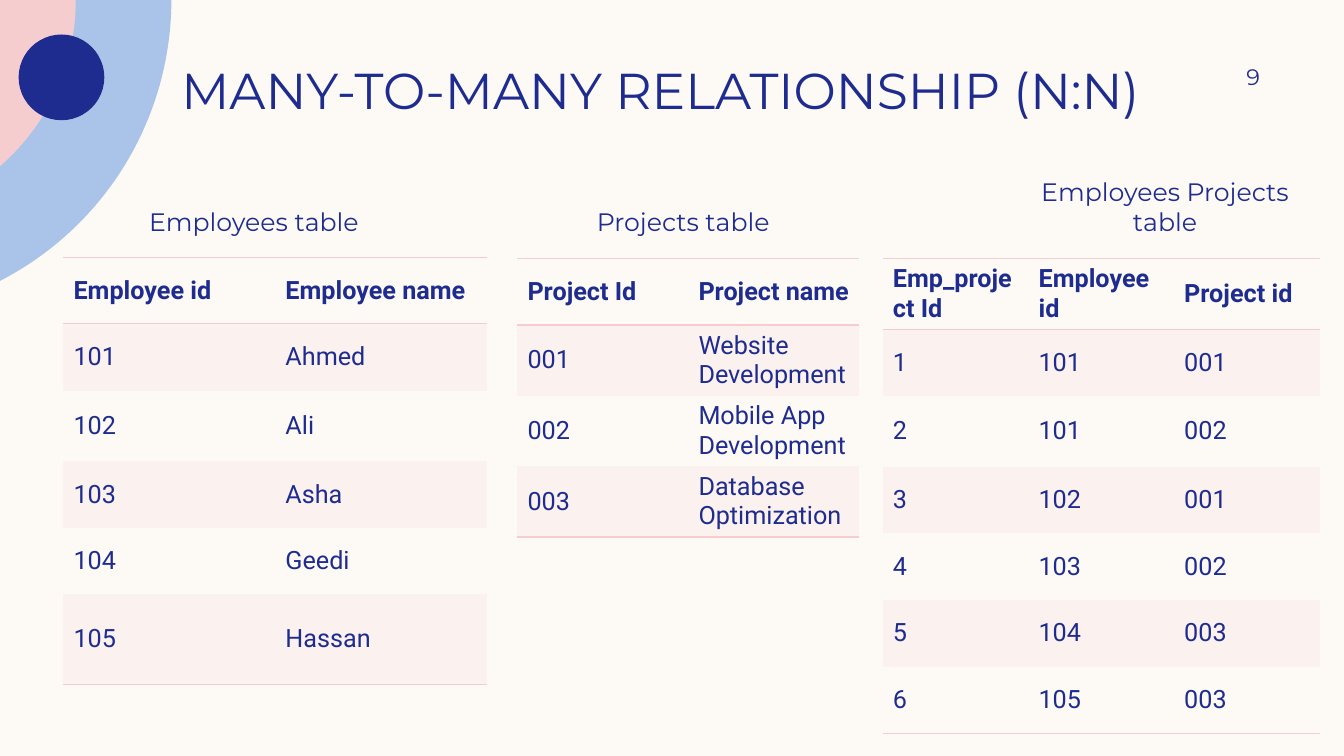
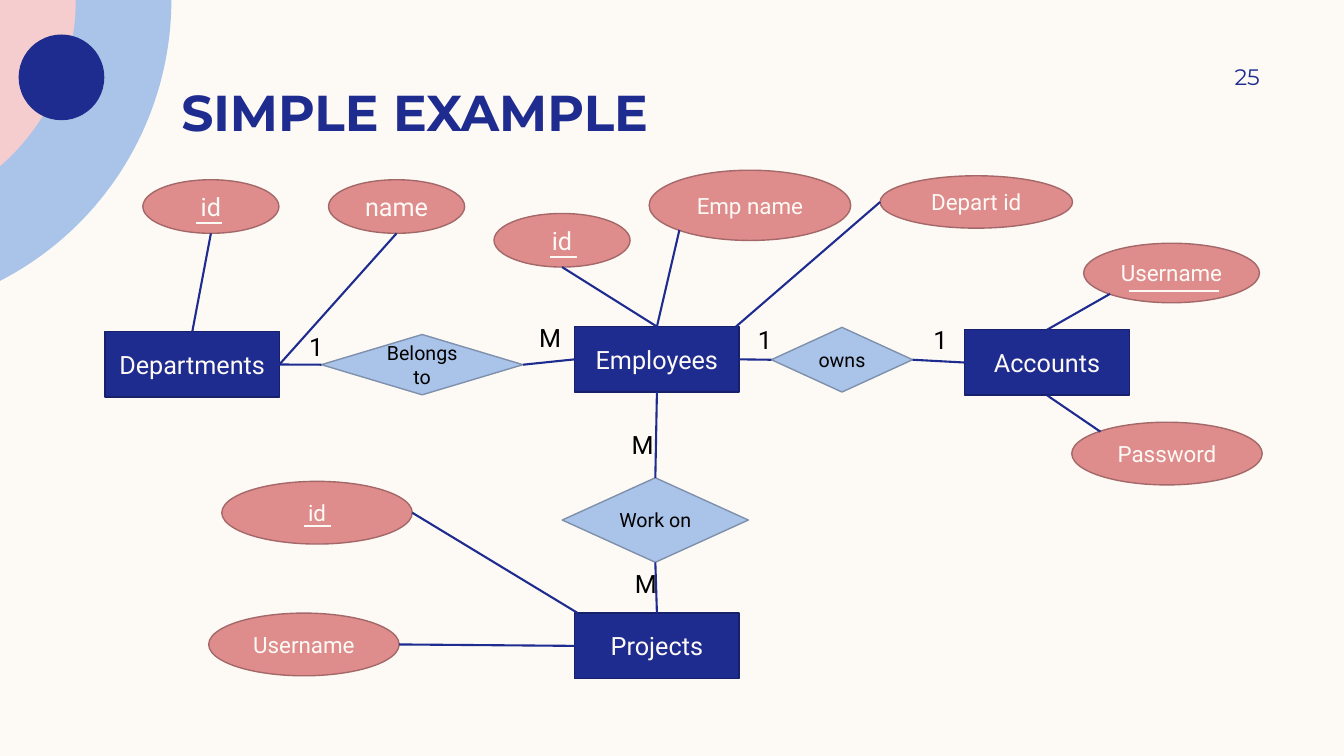
from math import acos, cos, sin

from lxml.etree import SubElement
from pptx import Presentation
from pptx.dml.color import RGBColor
from pptx.enum.shapes import MSO_CONNECTOR, MSO_SHAPE
from pptx.enum.text import MSO_ANCHOR, PP_ALIGN
from pptx.oxml.ns import qn
from pptx.util import Cm, Pt

COLORS = {
    "background": "FDFAF6",
    "navy": "1F2C8F",
    "navy_edge": "17216A",
    "blue": "AAC3E8",
    "blue_edge": "7E90AC",
    "pink": "F5CDCE",
    "pink_band": "FBF1EE",
    "rose": "DE8C8C",
    "rose_edge": "A46868",
    "black": "000000",
}
RGB = {name: RGBColor.from_string(value) for name, value in COLORS.items()}
HEADING_FONT = "Montserrat"
BODY_FONT = "Roboto"
PLAIN_TABLE_STYLE = "{2D5ABB26-0587-4C30-8999-92F81FD0307C}"


def write_text(shape, text, font=BODY_FONT, size=18, color="navy", bold=False,
               align=None, anchor=None, wrap=None, margins=None):
    """Fill a shape or table cell with one paragraph; margins are left, top, right, bottom in cm."""
    frame = shape.text_frame
    frame.word_wrap = wrap
    frame.vertical_anchor = anchor
    if margins:
        (frame.margin_left, frame.margin_top,
         frame.margin_right, frame.margin_bottom) = map(Cm, margins)
    paragraph = frame.paragraphs[0]
    paragraph.alignment = align
    run = paragraph.add_run()
    run.text = text
    run.font.name = font
    run.font.size = Pt(size)
    run.font.bold = bold
    run.font.color.rgb = RGB[color]


def add_line(slide, start, end, color="navy"):
    connector = slide.shapes.add_connector(
        MSO_CONNECTOR.STRAIGHT, *(Cm(value) for value in (*start, *end)))
    connector.line.color.rgb = RGB[color]
    connector.line.width = Pt(1.5)
    SubElement(connector._element.spPr, qn("a:effectLst"))
    return connector


presentation = Presentation()
presentation.slide_width = Cm(33.87)
presentation.slide_height = Cm(19.05)
background = presentation.slide_master.background.fill
background.solid()
background.fore_color.rgb = RGB["background"]

# Shared frame: corner rings, title and slide number
RING_CENTER = -3.64
RINGS = [(7.96, "blue"), (5.55, "pink")]
ARC_STEPS = 40
HEADING_MARGINS = (0.25, 0, 0.25, 0)

slides = []
for title, title_top, bold, number in [
    ("MANY-TO-MANY RELATIONSHIP (N:N)", 0.3, False, "9"),
    ("SIMPLE EXAMPLE", 0.84, True, "25"),
]:
    slide = presentation.slides.add_slide(presentation.slide_layouts[6])
    slides.append(slide)
    corner = []
    for radius, color in RINGS:
        last_angle = acos(-RING_CENTER / radius)
        angles = [last_angle * step / ARC_STEPS for step in range(ARC_STEPS + 1)]
        outline = slide.shapes.build_freeform(0, 0)
        outline.add_line_segments([
            (Cm(RING_CENTER + radius * cos(angle)), Cm(radius * sin(angle)))
            for angle in angles
        ])
        corner.append((outline.convert_to_shape(), color))
    dot = slide.shapes.add_shape(MSO_SHAPE.OVAL, Cm(0.47), Cm(0.87), Cm(2.16), Cm(2.16))
    corner.append((dot, "navy"))
    for shape, color in corner:
        shape.shadow.inherit = False
        shape.fill.solid()
        shape.fill.fore_color.rgb = RGB[color]
        shape.line.fill.background()

    title_box = slide.shapes.add_textbox(Cm(4.32), Cm(title_top), Cm(27.43), Cm(2.72))
    write_text(title_box, title, font=HEADING_FONT, size=36, bold=bold, wrap=True,
               anchor=MSO_ANCHOR.BOTTOM, margins=HEADING_MARGINS)
    number_box = slide.shapes.add_textbox(Cm(28.78), Cm(1.27), Cm(2.97), Cm(1.32))
    write_text(number_box, number, font=HEADING_FONT, size=16, align=PP_ALIGN.RIGHT,
               wrap=True, anchor=MSO_ANCHOR.MIDDLE, margins=(0.25, 0.13, 0, 0.13))

tables_slide, diagram_slide = slides

# Slide 1: caption, caption left, table left, table top, column width, row heights, rows
ROW = 1.68
TALL_ROW = 1.78
TABLES = [
    ("Employees table", 2.54, 1.6, 6.48, 5.34,
     [ROW, ROW, TALL_ROW, ROW, ROW, 2.26],
     [("Employee id", "Employee name"), ("101", "Ahmed"), ("102", "Ali"),
      ("103", "Asha"), ("104", "Geedi"), ("105", "Hassan")]),
    ("Projects table", 13.36, 13.04, 6.51, 4.31,
     [ROW, TALL_ROW, TALL_ROW, TALL_ROW],
     [("Project Id", "Project name"), ("001", "Website Development"),
      ("002", "Mobile App Development"), ("003", "Database Optimization")]),
    ("Employees Projects table", 25.5, 22.25, 6.52, 3.67,
     [TALL_ROW, ROW, TALL_ROW, ROW, ROW, ROW, ROW],
     [("Emp_project Id", "Employee id", "Project id"), ("1", "101", "001"),
      ("2", "101", "002"), ("3", "102", "001"), ("4", "103", "002"),
      ("5", "104", "003"), ("6", "105", "003")]),
]

for caption, caption_left, left, top, column_width, heights, rows in TABLES:
    caption_box = tables_slide.shapes.add_textbox(
        Cm(caption_left), Cm(4.19), Cm(7.72), Cm(1.78))
    write_text(caption_box, caption, font=HEADING_FONT, align=PP_ALIGN.CENTER, wrap=True,
               anchor=MSO_ANCHOR.BOTTOM, margins=HEADING_MARGINS)

    column_count = len(rows[0])
    table = tables_slide.shapes.add_table(
        len(rows), column_count, Cm(left), Cm(top),
        Cm(column_width * column_count), Cm(sum(heights))).table
    table.horz_banding = False
    table._tbl.tblPr.find(qn("a:tableStyleId")).text = PLAIN_TABLE_STYLE
    for column in table.columns:
        column.width = Cm(column_width)
    for row_index, (values, height) in enumerate(zip(rows, heights)):
        table.rows[row_index].height = Cm(height)
        borders = []
        if row_index == 0:
            borders = ["a:lnT", "a:lnB"]
        elif row_index == len(rows) - 1:
            borders = ["a:lnB"]
        for column_index, value in enumerate(values):
            cell = table.cell(row_index, column_index)
            write_text(cell, value, bold=row_index == 0)
            cell.vertical_anchor = MSO_ANCHOR.MIDDLE
            # Borders must come before the fill in the cell properties
            for border in borders:
                line = SubElement(cell._tc.tcPr, qn(border), w=str(Pt(1)))
                fill = SubElement(line, qn("a:solidFill"))
                SubElement(fill, qn("a:srgbClr"), val=COLORS["pink"])
            if row_index % 2:
                cell.fill.solid()
                cell.fill.fore_color.rgb = RGB["pink_band"]
            else:
                cell.fill.background()

# Slide 2: entity-relationship diagram
NODE_STYLES = {
    "entity": (MSO_SHAPE.RECTANGLE, "navy", "navy_edge", "background"),
    "relation": (MSO_SHAPE.FLOWCHART_DECISION, "blue", "blue_edge", "black"),
    "attribute": (MSO_SHAPE.OVAL, "rose", "rose_edge", "background"),
}
# name: kind, text, text size, (left, top, width, height)
NODES = {
    "departments": ("entity", "Departments", 18, (2.65, 8.36, 4.39, 1.65)),
    "employees": ("entity", "Employees", 18, (14.48, 8.23, 4.15, 1.65)),
    "accounts": ("entity", "Accounts", 18, (24.31, 8.31, 4.15, 1.65)),
    "projects": ("entity", "Projects", 18, (14.48, 15.45, 4.15, 1.65)),
    "belongs to": ("relation", "Belongs to", 14, (8.1, 8.43, 5.08, 1.52)),
    "owns": ("relation", "owns", 14, (19.44, 8.25, 3.56, 1.63)),
    "work on": ("relation", "Work on", 14, (14.17, 12.04, 4.69, 2.13)),
    "department id": ("attribute", "id", 18, (3.6, 4.53, 3.43, 1.35)),
    "department name": ("attribute", "name", 18, (8.28, 4.53, 3.43, 1.35)),
    "employee id": ("attribute", "id", 18, (12.45, 5.38, 3.43, 1.35)),
    "employee name": ("attribute", "Emp name", 16, (16.36, 4.29, 5.08, 1.77)),
    "employee department": ("attribute", "Depart id", 16, (22.18, 4.43, 4.85, 1.32)),
    "account username": ("attribute", "Username", 16, (27.31, 6.13, 4.43, 1.5)),
    "account password": ("attribute", "Password", 16, (27.01, 10.64, 4.8, 1.58)),
    "project id": ("attribute", "id", 16, (5.59, 12.13, 4.8, 1.58)),
    "project username": ("attribute", "Username", 16, (5.26, 15.45, 4.8, 1.58)),
}
# Anchor points as fractions of a node's width and height
ANCHORS = {
    "top": (0.5, 0), "left": (0, 0.5), "bottom": (0.5, 1), "right": (1, 0.5),
    "upper left": (0.15, 0.15), "lower left": (0.15, 0.85),
    "left corner": (0.02, 0), "right corner": (0.98, 0),
}
GLUE_SITES = ["top", "left", "bottom", "right"]
LINKS = [
    ("departments", "right", "belongs to", "left"),
    ("belongs to", "right", "employees", "left"),
    ("employees", "right", "owns", "left"),
    ("owns", "right", "accounts", "left"),
    ("employees", "bottom", "work on", "top"),
    ("work on", "bottom", "projects", "top"),
    ("departments", "top", "department id", "bottom"),
    ("departments", "right", "department name", "bottom"),
    ("employees", "top", "employee id", "bottom"),
    ("employees", "top", "employee name", "lower left"),
    ("employees", "right corner", "employee department", "left"),
    ("accounts", "top", "account username", "lower left"),
    ("accounts", "bottom", "account password", "upper left"),
    ("projects", "left corner", "project id", "right"),
    ("projects", "left", "project username", "right"),
]
# left, right, height on the slide
KEY_UNDERLINES = [
    (4.93, 5.59, 5.61), (13.87, 14.55, 6.48), (7.67, 8.33, 13.26), (28.45, 30.73, 7.34),
]
CARDINALITIES = [
    ("1", 7.54, 8.23), ("M", 13.34, 8), ("1", 18.85, 8.05),
    ("1", 23.27, 8.05), ("M", 15.67, 10.69), ("M", 15.75, 14.2),
]

node_shapes = {}
for name, (kind, text, size, box) in NODES.items():
    preset, fill_color, edge_color, text_color = NODE_STYLES[kind]
    shape = diagram_slide.shapes.add_shape(preset, *map(Cm, box))
    shape.shadow.inherit = False
    shape.fill.solid()
    shape.fill.fore_color.rgb = RGB[fill_color]
    shape.line.color.rgb = RGB[edge_color]
    shape.line.width = Pt(1)
    write_text(shape, text, size=size, color=text_color, align=PP_ALIGN.CENTER,
               anchor=MSO_ANCHOR.MIDDLE, wrap=True)
    node_shapes[name] = shape

for start_name, start_anchor, end_name, end_anchor in LINKS:
    points = []
    for name, anchor in [(start_name, start_anchor), (end_name, end_anchor)]:
        left, top, width, height = NODES[name][3]
        across, down = ANCHORS[anchor]
        points.append((left + across * width, top + down * height))
    connector = add_line(diagram_slide, *points)
    if start_anchor in GLUE_SITES:
        connector.begin_connect(node_shapes[start_name], GLUE_SITES.index(start_anchor))
    # Ovals number their connection sites differently, so their ends stay free
    if NODES[end_name][0] != "attribute":
        connector.end_connect(node_shapes[end_name], GLUE_SITES.index(end_anchor))

for left, right, height in KEY_UNDERLINES:
    add_line(diagram_slide, (left, height), (right, height), color="background")

for text, left, top in CARDINALITIES:
    label = diagram_slide.shapes.add_textbox(Cm(left), Cm(top), Cm(1), Cm(1.02))
    write_text(label, text, color="black", wrap=False)

presentation.save("out.pptx")
